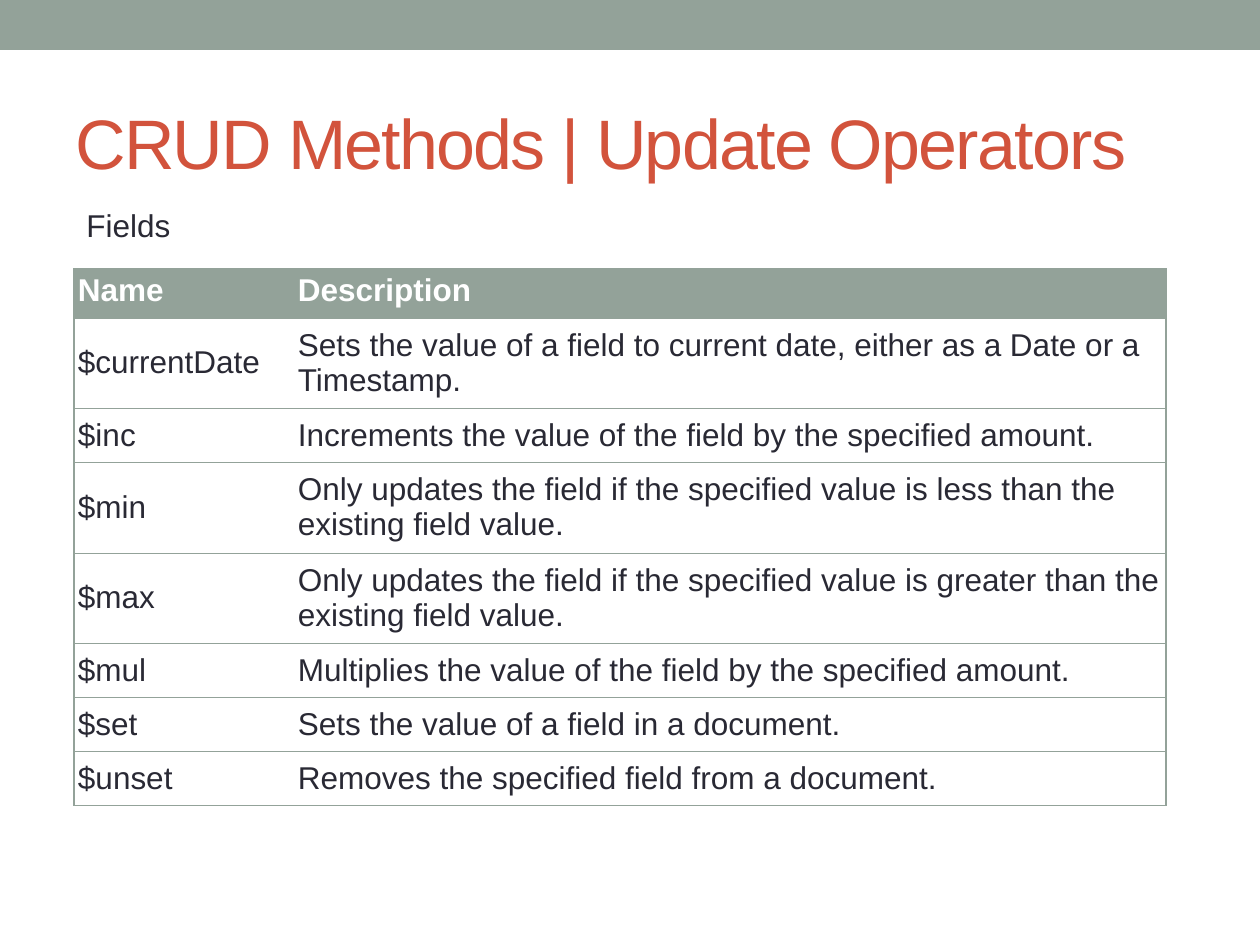
from dataclasses import dataclass

from lxml.etree import SubElement
from pptx import Presentation
from pptx.dml.color import RGBColor
from pptx.enum.shapes import MSO_SHAPE
from pptx.enum.text import MSO_ANCHOR, MSO_AUTO_SIZE
from pptx.oxml.ns import qn
from pptx.util import Emu, Pt

PX_PER_INCH = 126


@dataclass(frozen=True)
class Theme:
    font: str = "Arial"
    sage: str = "93A299"
    rust: str = "D2533C"
    ink: str = "292934"
    white: str = "FFFFFF"
    title_size: int = 40
    body_size: int = 18
    title_spacing: int = -100
    border: float = 0.75


THEME = Theme()

HEADER = ("Name", "Description")
# operator, description, lines the description takes
OPERATORS = [
    ("$currentDate", "Sets the value of a field to current date, either as a Date or a Timestamp.", 2),
    ("$inc", "Increments the value of the field by the specified amount.", 1),
    ("$min", "Only updates the field if the specified value is less than the existing field value.", 2),
    ("$max", "Only updates the field if the specified value is greater than the existing field value.", 2),
    ("$mul", "Multiplies the value of the field by the specified amount.", 1),
    ("$set", "Sets the value of a field in a document.", 1),
    ("$unset", "Removes the specified field from a document.", 1),
]
LEFT = 74
COLUMN_WIDTHS = (220, 872)
HEADER_HEIGHT = 49
LINE_HEIGHT = 35
ROW_PADDING = 19


def px(n):
    return Emu(round(n * 914400 / PX_PER_INCH))


def set_all(obj, values):
    for name, value in values.items():
        setattr(obj, name, value)


def write(tf, text, size, color, bold=False):
    r = tf.paragraphs[0].add_run()
    r.text = text
    set_all(r.font, {"name": THEME.font, "size": Pt(size), "bold": bold})
    r.font.color.rgb = RGBColor.from_string(color)
    return r


def add_band(s, x, y, w, h):
    sp = s.shapes.add_shape(MSO_SHAPE.RECTANGLE, px(x), px(y), px(w), px(h))
    sp.shadow.inherit = False
    sp.fill.solid()
    sp.fill.fore_color.rgb = RGBColor.from_string(THEME.sage)
    sp.line.fill.background()


def add_text(s, box, text, size, color, frame):
    sp = s.shapes.add_textbox(*map(px, box))
    set_all(sp.text_frame, frame)
    return write(sp.text_frame, text, size, color)


def set_borders(cell, visible):
    """Draw the named sides (L, R, T, B) and blank out the others."""
    tc_pr = cell._tc.get_or_add_tcPr()
    for i, side in enumerate("LRTB"):
        ln = SubElement(tc_pr, qn(f"a:ln{side}"), w=str(Pt(THEME.border)))
        if side in visible:
            fill = SubElement(ln, qn("a:solidFill"))
            SubElement(fill, qn("a:srgbClr"), val=THEME.sage)
        else:
            SubElement(ln, qn("a:noFill"))
        tc_pr.insert(i, ln)  # borders must precede the cell fill


def fill_cell(cell, text, is_header, sides):
    # Vertical margins stay small enough for the text to fit its row height.
    set_all(cell, {
        "margin_left": px(4),
        "margin_right": px(4),
        "margin_top": px(3 if is_header else 7),
        "margin_bottom": px(8),
        "vertical_anchor": MSO_ANCHOR.MIDDLE,
    })
    if is_header:
        cell.fill.solid()
        cell.fill.fore_color.rgb = RGBColor.from_string(THEME.sage)
    else:
        cell.fill.background()
    color = THEME.white if is_header else THEME.ink
    write(cell.text_frame, text, THEME.body_size, color, is_header)
    set_borders(cell, sides)


def add_operator_table(s, x, y):
    rows = [HEADER] + [(name, desc) for name, desc, _ in OPERATORS]
    heights = [HEADER_HEIGHT] + [n * LINE_HEIGHT + ROW_PADDING for *_, n in OPERATORS]
    table = s.shapes.add_table(len(rows), len(HEADER), px(x), px(y),
                               px(sum(COLUMN_WIDTHS)), px(sum(heights))).table
    table.horz_banding = False
    for column, width in zip(table.columns, COLUMN_WIDTHS):
        column.width = px(width)
    for i, (texts, height) in enumerate(zip(rows, heights)):
        table.rows[i].height = px(height)
        for j, (text, outer_side) in enumerate(zip(texts, "LR")):
            fill_cell(table.cell(i, j), text, i == 0, outer_side + "TB")


def main():
    prs = Presentation()
    set_all(prs, {"slide_width": px(1260), "slide_height": px(945)})
    s = prs.slides.add_slide(prs.slide_layouts[6])

    add_band(s, 0, 0, 1260, 50)
    title = add_text(s, (63, 73, 1134, 136), "CRUD Methods | Update Operators",
                     THEME.title_size, THEME.rust,
                     {"word_wrap": True, "vertical_anchor": MSO_ANCHOR.MIDDLE})
    title.font._element.set("spc", str(THEME.title_spacing))
    add_operator_table(s, LEFT, 269)
    add_text(s, (LEFT, 200, 111, 51), "Fields", THEME.body_size, THEME.ink,
             {"word_wrap": False, "auto_size": MSO_AUTO_SIZE.SHAPE_TO_FIT_TEXT})

    prs.save("out.pptx")


if __name__ == "__main__":
    main()
